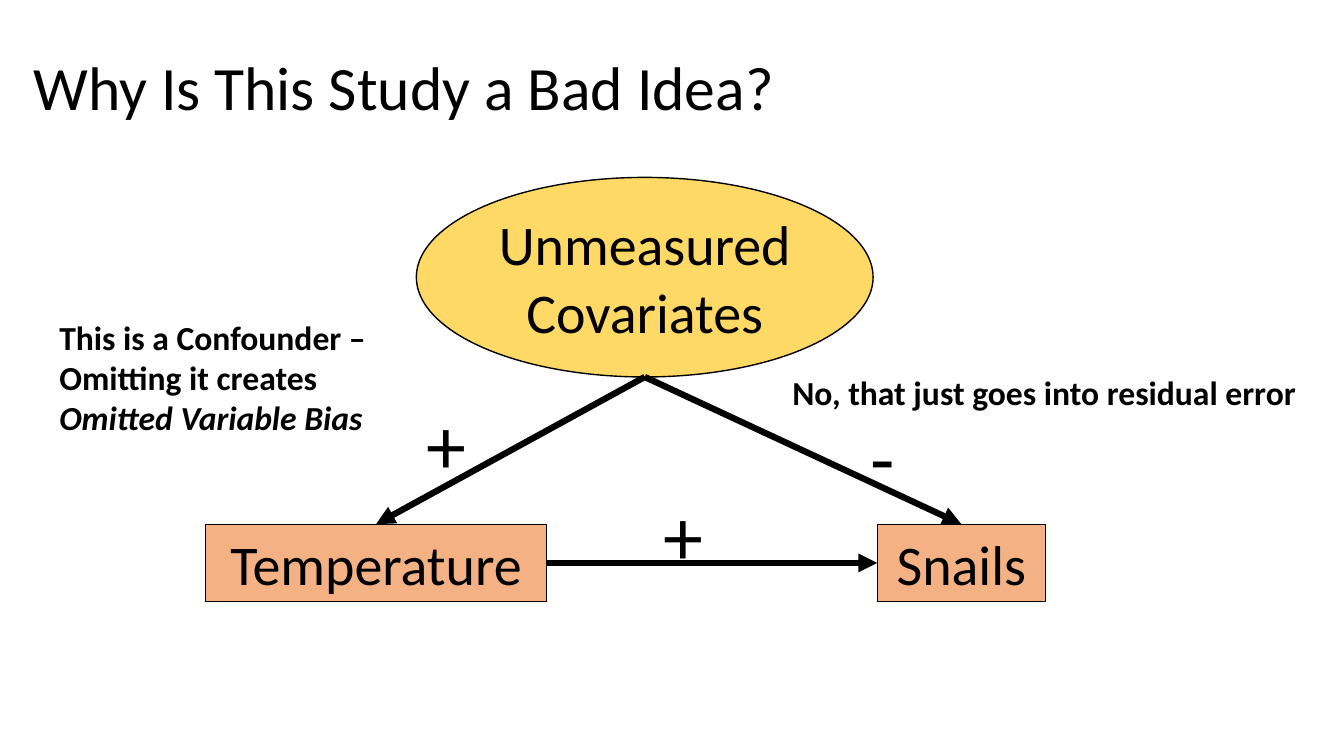
from lxml import etree
from pptx import Presentation
from pptx.dml.color import RGBColor
from pptx.enum.shapes import MSO_CONNECTOR, MSO_SHAPE
from pptx.enum.text import MSO_ANCHOR, MSO_AUTO_SIZE, PP_ALIGN
from pptx.oxml.ns import qn
from pptx.util import Emu, Pt

RECTANGLE, ELLIPSE = MSO_SHAPE.RECTANGLE, MSO_SHAPE.OVAL
STRAIGHT = MSO_CONNECTOR.STRAIGHT
LEFT, CENTER = PP_ALIGN.LEFT, PP_ALIGN.CENTER
MIDDLE = MSO_ANCHOR.MIDDLE
GROW, FIXED = MSO_AUTO_SIZE.SHAPE_TO_FIT_TEXT, MSO_AUTO_SIZE.NONE
PX = 9144
TITLE_ONLY = 5
COLORS = {"ink": "000000", "measured": "F4B183", "unmeasured": "FFD966"}


class CausalDiagram:
    """Draws the parts of a causal diagram on one slide in one style."""

    def __init__(self, slide, font="Calibri"):
        self.slide = slide
        self.font = font

    def box(self, *lengths):
        return [Emu(length * PX) for length in lengths]

    def color(self, name):
        return RGBColor.from_string(COLORS[name])

    def style(self, paragraph, size, bold=False, align=LEFT):
        paragraph.alignment = align
        for run in paragraph.runs:
            run.font.name = self.font
            run.font.size = Pt(size)
            run.font.bold = bold
            run.font.color.rgb = self.color("ink")

    def title(self, text, *place):
        heading = self.slide.shapes.title
        heading.left, heading.top, heading.width, heading.height = self.box(*place)
        frame = heading.text_frame
        frame.text = text
        frame.vertical_anchor = MIDDLE
        frame.paragraphs[0].line_spacing = 0.9
        self.style(frame.paragraphs[0], 44)

    def node(self, text, kind, fill, outline, fit, *place):
        variable = self.slide.shapes.add_shape(kind, *self.box(*place))
        variable.shadow.inherit = False
        variable.fill.solid()
        variable.fill.fore_color.rgb = self.color(fill)
        variable.line.color.rgb = self.color("ink")
        variable.line.width = Pt(outline)
        frame = variable.text_frame
        frame.text = text
        frame.word_wrap = True
        frame.auto_size = fit
        frame.vertical_anchor = MIDDLE
        self.style(frame.paragraphs[0], 40, align=CENTER)
        return variable

    def effect(self, *ends):
        arrow = self.slide.shapes.add_connector(STRAIGHT, *ends)
        arrow.line.color.rgb = self.color("ink")
        arrow.line.width = Pt(4.5)
        line = arrow.line._get_or_add_ln()
        etree.SubElement(line, qn("a:tailEnd"), type="triangle")
        etree.SubElement(arrow._element.spPr, qn("a:effectLst"))

    def label(self, text, size, *place, bold=False, wrap=False, emphasis=""):
        frame = self.slide.shapes.add_textbox(*self.box(*place)).text_frame
        frame.text = text
        frame.word_wrap = wrap
        frame.auto_size = GROW
        paragraph = frame.paragraphs[0]
        if emphasis:
            stressed = paragraph.add_run()
            stressed.text = emphasis
            stressed.font.italic = True
        self.style(paragraph, size, bold)


def main():
    deck = Presentation()
    deck.slide_width, deck.slide_height = Emu(1333 * PX), Emu(750 * PX)
    diagram = CausalDiagram(deck.slides.add_slide(deck.slide_layouts[TITLE_ONLY]))

    diagram.title("Why Is This Study a Bad Idea?", 23, 17, 1150, 145)

    temperature = diagram.node(
        "Temperature", RECTANGLE, "measured", 0.75, GROW, 204, 520, 338, 77)
    snails = diagram.node(
        "Snails", RECTANGLE, "measured", 0.75, GROW, 870, 520, 167, 77)
    covariates = diagram.node(
        "Unmeasured Covariates", ELLIPSE, "unmeasured", 1, FIXED, 413, 176, 453, 198)

    middle = temperature.top + temperature.height // 2
    diagram.effect(temperature.left + temperature.width, middle, snails.left, middle)
    for outcome in (snails, temperature):
        diagram.effect(
            covariates.left + covariates.width // 2,
            covariates.top + covariates.height,
            outcome.left + outcome.width // 2,
            outcome.top)

    diagram.label("No, that just goes into residual error", 24,
                  776, 364, 525, 50, bold=True)
    diagram.label("This is a Confounder – Omitting it creates ", 24,
                  49, 309, 354, 131, bold=True, wrap=True,
                  emphasis="Omitted Variable Bias")
    diagram.label("+", 57, 413, 387, 60, 106)
    diagram.label("+", 57, 648, 477, 60, 106)
    diagram.label("-", 57, 854, 400, 33, 106, wrap=True)

    deck.save("out.pptx")


if __name__ == "__main__":
    main()
